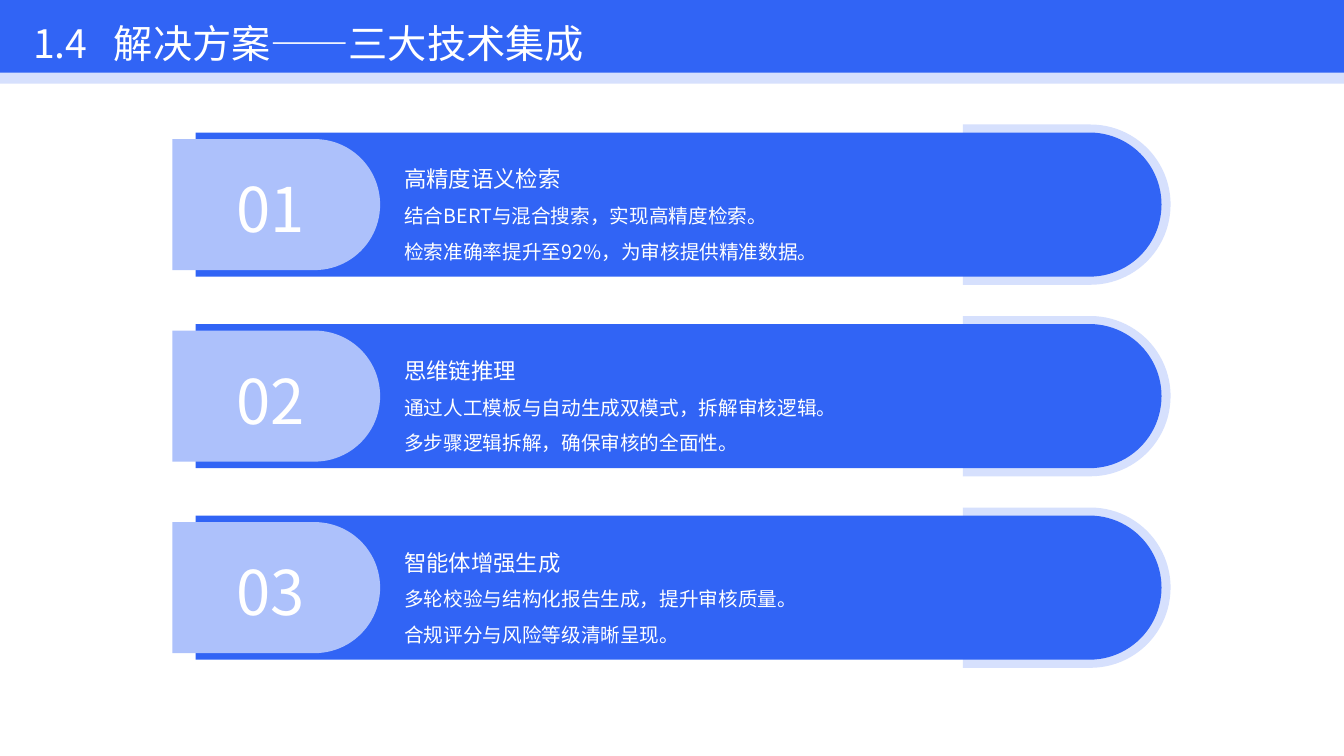
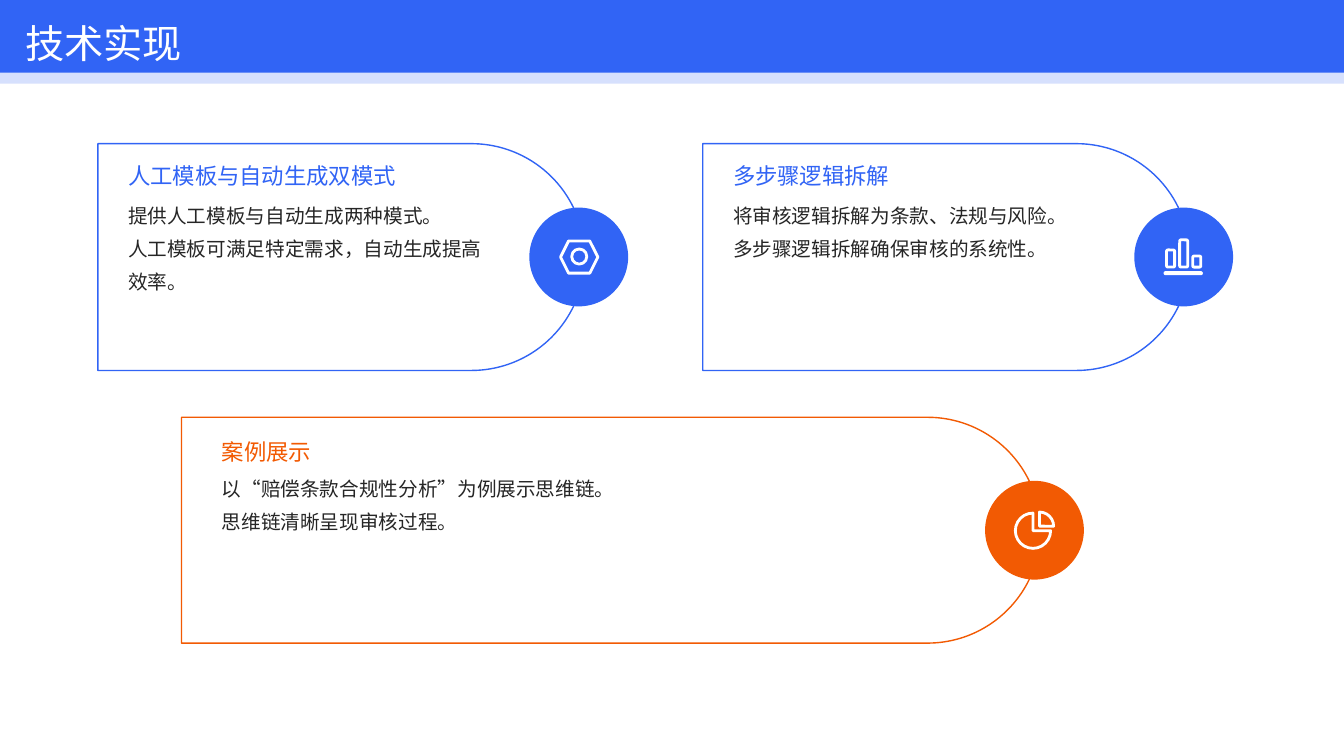
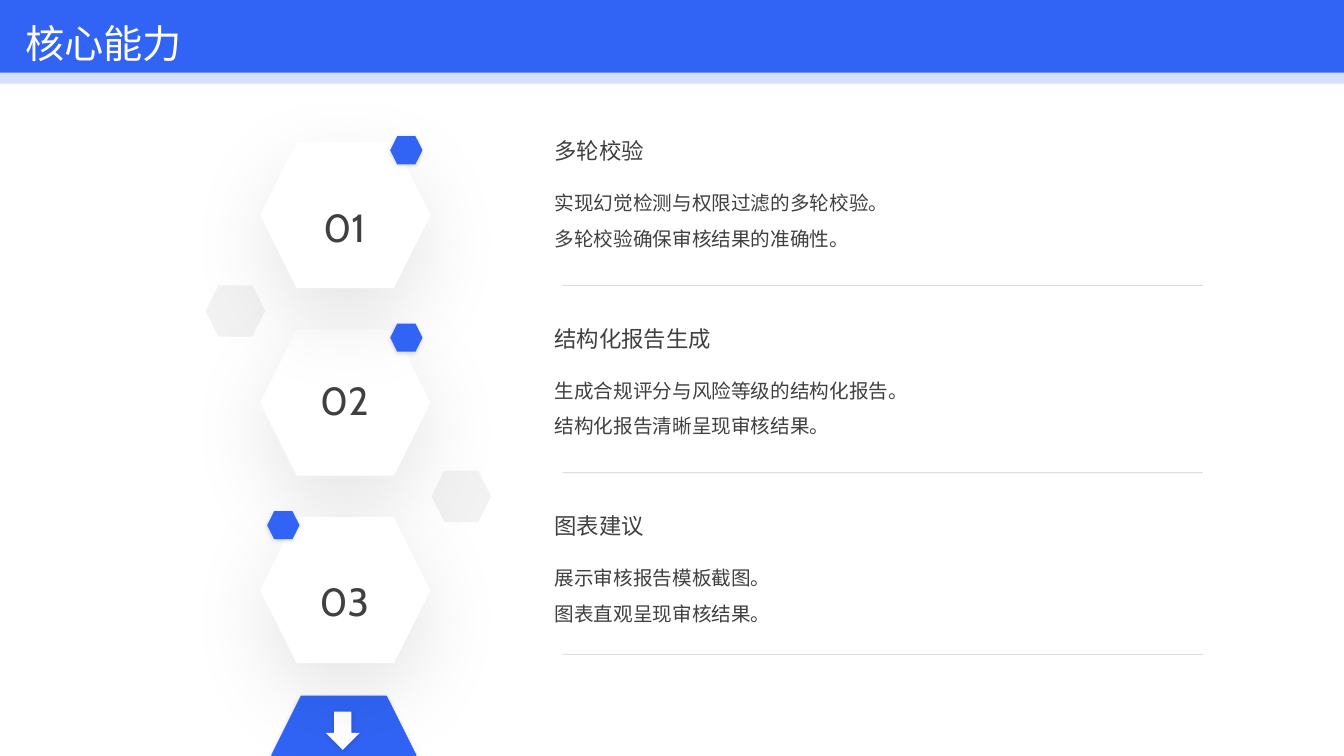
import pptx
import pptx.util
import pptx.dml.color
import pptx.enum.dml
import pptx.enum.shapes
import pptx.enum.text
import pptx.oxml.ns
from dataclasses import dataclass, replace
from lxml import etree
from typing import Optional

Kind = pptx.enum.shapes.MSO_SHAPE
Align = pptx.enum.text.PP_ALIGN
Anchor = pptx.enum.text.MSO_ANCHOR
qn = pptx.oxml.ns.qn

SCALE = 9144
WIDE, HIGH = 1333, 750
BLUE, SOFT, PALE = "3164F5", "ADC1FB", "D6E0FD"
ORANGE, WHITE, BLACK = "F25A03", "FFFFFF", "000000"
INK, GREY, MIST = "262626", "404040", "F2F2F2"
SANS, CABIN = "Noto Sans CJK SC", "Cabin"


@dataclass(frozen=True)
class Box:
    x: int
    y: int
    w: int
    h: int


@dataclass(frozen=True)
class Face:
    size: int
    hue: str
    space: float
    font: str = SANS
    align: Align = Align.LEFT
    anchor: Anchor = Anchor.TOP


@dataclass(frozen=True)
class Shade:
    alpha: int
    blur: int
    drop: int


@dataclass(frozen=True)
class Mark:
    kind: Kind
    box: Box
    solid: bool = False
    turns: tuple = ()


@dataclass(frozen=True)
class Bar:
    label: str
    head: str
    body: str


@dataclass(frozen=True)
class Card:
    x: int
    mid: int
    w: int
    h: int
    inset: int
    rise: int
    hue: str
    head: str
    body: str
    icon: tuple


@dataclass(frozen=True)
class Step:
    label: str
    label_y: int
    dot_x: int
    rule_y: int
    head: str
    body: str


TITLE = Face(28, WHITE, 1.2)
NEAR = Shade(15, 3, 1)
FAR = Shade(10, 60, 20)

NUT = (
    Mark(Kind.HEXAGON, Box(-18, -16, 37, 32)),
    Mark(Kind.OVAL, Box(-7, -8, 15, 15)),
)
CHART = tuple(
    Mark(Kind.ROUNDED_RECTANGLE, Box(-17 + 13 * i, top, 8, 10 - top))
    for i, top in enumerate((-7, -17, -1))
) + (Mark(Kind.ROUNDED_RECTANGLE, Box(-20, 14, 39, 4), True, (0.5,)),)
PIE = (
    Mark(Kind.PIE, Box(-19, -17, 35, 35), False, (0, 162)),
    Mark(Kind.PIE, Box(-9, -18, 28, 28), False, (162, 0)),
)

BARS = (
    Bar("01", "高精度语义检索",
        "结合BERT与混合搜索，实现高精度检索。\n检索准确率提升至92%，为审核提供精准数据。"),
    Bar("02", "思维链推理",
        "通过人工模板与自动生成双模式，拆解审核逻辑。\n多步骤逻辑拆解，确保审核的全面性。"),
    Bar("03", "智能体增强生成",
        "多轮校验与结构化报告生成，提升审核质量。\n合规评分与风险等级清晰呈现。"),
)
CARDS = (
    Card(97, 255, 483, 225, 30, 45, BLUE, "人工模板与自动生成双模式",
         "提供人工模板与自动生成两种模式。\n人工模板可满足特定需求，自动生成提高效率。", NUT),
    Card(697, 255, 483, 225, 30, 45, BLUE, "多步骤逻辑拆解",
         "将审核逻辑拆解为条款、法规与风险。\n多步骤逻辑拆解确保审核的系统性。", CHART),
    Card(180, 526, 852, 224, 40, 49, ORANGE, "案例展示",
         "以“赔偿条款合规性分析”为例展示思维链。\n思维链清晰呈现审核过程。", PIE),
)
STEPS = (
    Step("01", 178, 387, 283, "多轮校验",
         "实现幻觉检测与权限过滤的多轮校验。\n多轮校验确保审核结果的准确性。"),
    Step("02", 349, 387, 469, "结构化报告生成",
         "生成合规评分与风险等级的结构化报告。\n结构化报告清晰呈现审核结果。"),
    Step("03", 549, 265, 649, "图表建议",
         "展示审核报告模板截图。\n图表直观呈现审核结果。"),
)


def px(n: float) -> int:
    return round(n * SCALE)


def rgb(hue: str) -> pptx.dml.color.RGBColor:
    return pptx.dml.color.RGBColor.from_string(hue)


def place(box: Box) -> tuple:
    return px(box.x), px(box.y), px(box.w), px(box.h)


def draw(slide, kind: Kind, box: Box, fill: Optional[str] = None,
         line: Optional[str] = None, width: float = 1,
         shade: Optional[Shade] = None, turns: tuple = ()):
    shape = slide.shapes.add_shape(kind, *place(box))
    for i, turn in enumerate(turns):
        shape.adjustments[i] = turn
    if fill:
        shape.fill.solid()
        shape.fill.fore_color.rgb = rgb(fill)
    else:
        shape.fill.background()
    if line:
        shape.line.color.rgb = rgb(line)
        shape.line.width = pptx.util.Pt(width)
    else:
        shape.line.fill.background()
    shape.shadow.inherit = False
    if shade:
        list_ = shape._element.spPr.find(qn("a:effectLst"))
        cast = etree.SubElement(
            list_, qn("a:outerShdw"), blurRad=str(pptx.util.Pt(shade.blur)),
            dist=str(pptx.util.Pt(shade.drop)), dir="5400000",
            algn="t", rotWithShape="0")
        ink = etree.SubElement(cast, qn("a:srgbClr"), val=BLACK)
        etree.SubElement(ink, qn("a:alpha"), val=str(shade.alpha * 1000))
    return shape


def draw_tab(slide, x: int, mid: int, w: int, h: int, fill: str,
             line: Optional[str] = None) -> None:
    tab = draw(slide, Kind.ROUND_2_SAME_RECTANGLE, Box(x, mid, h, w),
               fill, line, turns=(0.5, 0))
    tab.left = px(x + (w - h) / 2)
    tab.top = px(mid - w / 2)
    tab.rotation = 90


def style(par, face: Face) -> None:
    par.alignment = face.align
    par.line_spacing = face.space
    par.font.size = pptx.util.Pt(face.size)
    par.font.color.rgb = rgb(face.hue)
    par.font.name = face.font
    base = par._p.pPr.find(qn("a:defRPr"))
    etree.SubElement(base, qn("a:ea"), typeface=face.font)


def write(slide, box: Box, text: str, face: Face) -> None:
    frame = slide.shapes.add_textbox(*place(box)).text_frame
    frame.word_wrap = True
    frame.margin_left = frame.margin_right = 0
    frame.margin_top = frame.margin_bottom = 0
    frame.vertical_anchor = face.anchor
    par = frame.paragraphs[0]
    par.text = text
    style(par, face)


def draw_rule(slide, x: int, y: int, end: int) -> None:
    rule = slide.shapes.add_connector(
        pptx.enum.shapes.MSO_CONNECTOR.STRAIGHT, px(x), px(y), px(end), px(y))
    rule.line.color.rgb = rgb(BLACK)
    rule.line.width = pptx.util.Pt(0.5)
    props = rule._element.spPr
    ink = props.find(".//" + qn("a:srgbClr"))
    etree.SubElement(ink, qn("a:alpha"), val="20000")
    etree.SubElement(props, qn("a:effectLst"))


def start(deck, text: str, inset: int = 10, tab: int = 0):
    slide = deck.slides.add_slide(deck.slide_layouts[5])
    for high, hue in ((83, PALE), (72, BLUE)):
        draw(slide, Kind.RECTANGLE, Box(0, 0, WIDE, high), hue)
    title = slide.shapes.title
    slide.shapes._spTree.append(title._element)
    title.left, title.top, title.width, title.height = place(Box(15, 5, 1262, 57))
    frame = title.text_frame
    frame.auto_size = pptx.enum.text.MSO_AUTO_SIZE.NONE
    frame.word_wrap = True
    frame.vertical_anchor = Anchor.TOP
    frame.margin_left, frame.margin_right = px(inset), px(10)
    frame.margin_top = frame.margin_bottom = px(5)
    par = frame.paragraphs[0]
    par.text = text
    if tab:
        stops = etree.SubElement(par._p.get_or_add_pPr(), qn("a:tabLst"))
        etree.SubElement(stops, qn("a:tab"), pos=str(px(tab)), algn="l")
    style(par, TITLE)
    return slide


def build_bars(deck) -> None:
    slide = start(deck, "1.4\t解决方案——三大技术集成", 18, 80)
    label = Face(44, WHITE, 1.3, align=Align.CENTER, anchor=Anchor.MIDDLE)
    head = Face(16, WHITE, 1.3, anchor=Anchor.BOTTOM)
    body = Face(14, WHITE, 1.5)
    for i, bar in enumerate(BARS):
        mid = 203 + 190 * i
        draw_tab(slide, 955, mid, 206, 159, PALE)
        draw_tab(slide, 194, mid, 958, 143, BLUE)
        draw_tab(slide, 171, mid, 206, 130, SOFT)
        write(slide, Box(218, mid - 43, 101, 71), bar.label, label)
        write(slide, Box(401, mid - 12, 711, 70), bar.body, body)
        write(slide, Box(401, mid - 62, 711, 50), bar.head, head)


def draw_icon(slide, x: int, y: int, icon: tuple) -> None:
    for mark in icon:
        box = replace(mark.box, x=x + mark.box.x, y=y + mark.box.y)
        if mark.solid:
            draw(slide, mark.kind, box, WHITE, turns=mark.turns)
        else:
            draw(slide, mark.kind, box, line=WHITE, width=2, turns=mark.turns)


def build_cards(deck) -> None:
    slide = start(deck, "技术实现")
    body = Face(14, INK, 1.4)
    for card in CARDS:
        x, y = card.x + card.inset, card.mid - 62
        w = card.w - card.inset - 85
        hub = card.x + card.w - 6
        draw_tab(slide, card.x, card.mid, card.w, card.h, WHITE, card.hue)
        draw(slide, Kind.FLOWCHART_CONNECTOR,
             Box(hub - 49, card.mid - 49, 98, 98), card.hue)
        write(slide, Box(x, y, w, 156), card.body, body)
        write(slide, Box(x, y - 45, w, card.rise), card.head,
              Face(16, card.hue, 1.3, anchor=Anchor.MIDDLE))
        draw_icon(slide, hub, card.mid, card.icon)


def build_steps(deck) -> None:
    slide = start(deck, "核心能力")
    pitch = 186
    label = Face(28, GREY, 1.5, CABIN, Align.CENTER, Anchor.MIDDLE)
    head = Face(16, GREY, 1.5, anchor=Anchor.BOTTOM)
    body = Face(14, GREY, 1.5)
    for x, y in ((204, 283), (428, 467)):
        draw(slide, Kind.HEXAGON, Box(x, y, 59, 51), MIST)
    draw(slide, Kind.HEXAGON, Box(269, 690, 144, 118), BLUE, shade=NEAR)
    draw(slide, Kind.DOWN_ARROW, Box(323, 706, 34, 38), WHITE, shade=NEAR)
    for i in (1, 2, 0):
        draw(slide, Kind.HEXAGON, Box(258, 141 + pitch * i, 169, 145),
             WHITE, shade=FAR)
    for i, step in enumerate(STEPS):
        y = pitch * i
        draw(slide, Kind.HEXAGON, Box(step.dot_x, 135 + y, 32, 28),
             BLUE, shade=NEAR)
        draw_rule(slide, 558, step.rule_y, 1193)
        write(slide, Box(270, step.label_y, 143, 71), step.label, label)
        write(slide, Box(550, 107 + y, 670, 56), step.head, head)
        write(slide, Box(550, 178 + y, 669, 95), step.body, body)


def main() -> None:
    deck = pptx.Presentation()
    deck.slide_width, deck.slide_height = px(WIDE), px(HIGH)
    build_bars(deck)
    build_cards(deck)
    build_steps(deck)
    deck.save("out.pptx")


if __name__ == "__main__":
    main()
